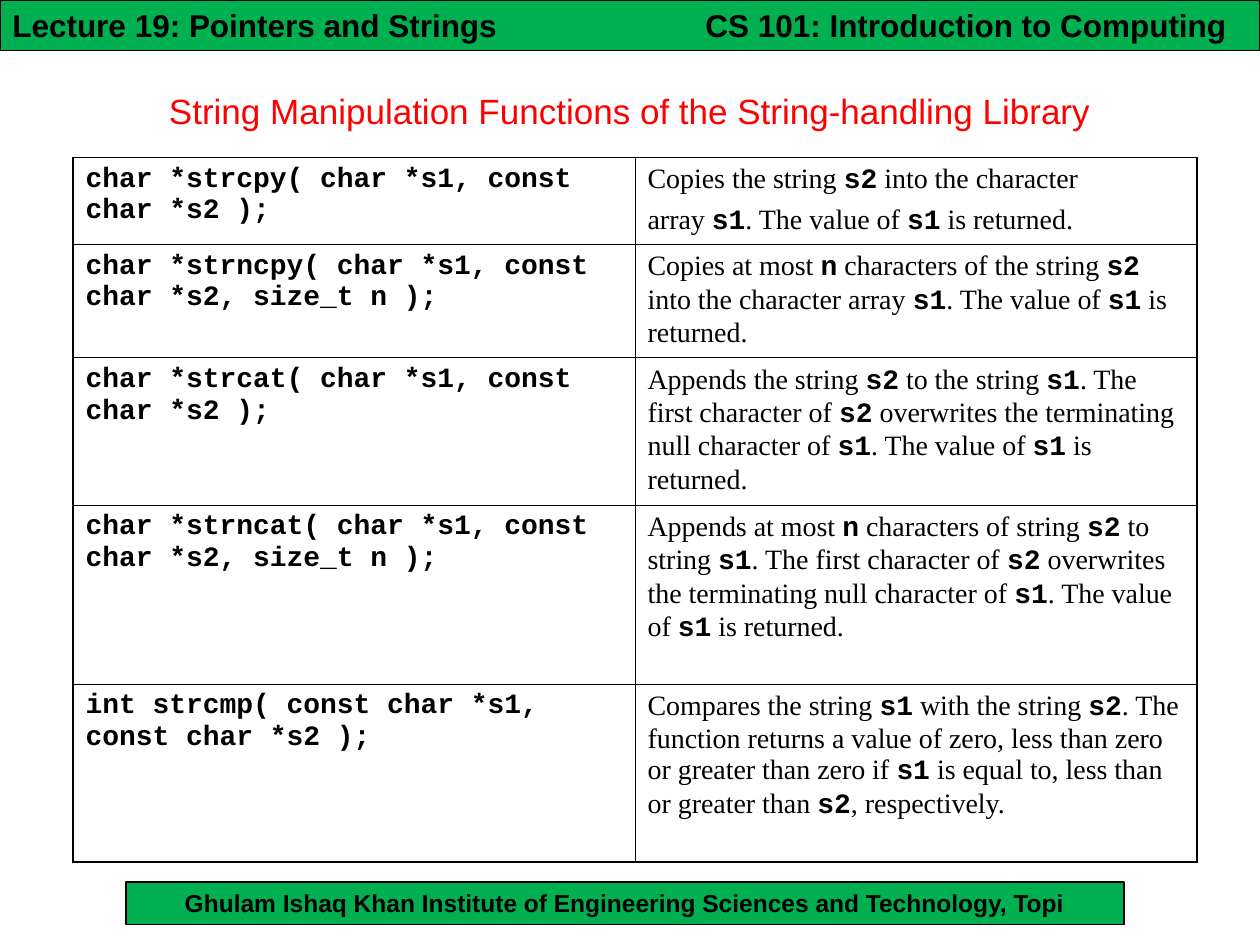
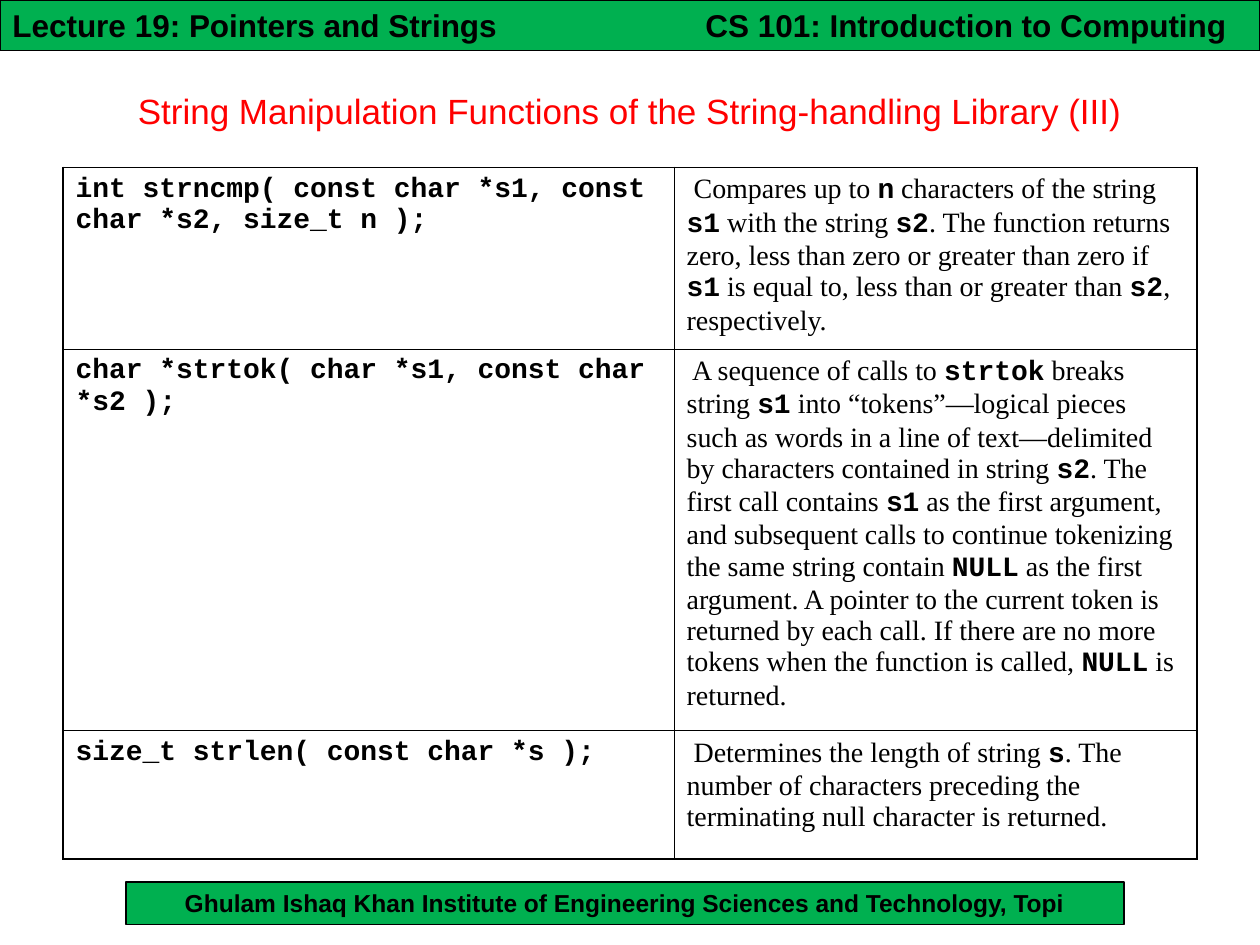
"""Build two lecture slides that tabulate the string-handling functions."""
from lxml import etree
from pptx import Presentation
from pptx import util as u
from pptx.dml.color import RGBColor
from pptx.enum import shapes, text
from pptx.oxml import ns

GREEN = RGBColor(0x00, 0xB0, 0x50)
RED = RGBColor(0xFF, 0x00, 0x00)
BLACK = RGBColor(0x00, 0x00, 0x00)
SANS, SERIF, MONO = "Arial", "Times New Roman", "Courier New"
OUTER, INNER = 1.08, 0.45
TITLE_ONLY = 5

BASIC_ROWS = [
    (69, "`char *strcpy( char *s1, const char *s2 );`",
     "Copies the string `s2` into the character\n"
     "array `s1`. The value of `s1` is returned."),
    (90, "`char *strncpy( char *s1, const char *s2, size_t n );`",
     "Copies at most `n` characters of the string `s2` into the character "
     "array `s1`. The value of `s1` is returned."),
    (117, "`char *strcat( char *s1, const char *s2 );`",
     "Appends the string `s2` to the string `s1`. The first character of "
     "`s2` overwrites the terminating null character of `s1`. The value of "
     "`s1` is returned."),
    (142, "`char *strncat( char *s1, const char *s2, size_t n );`",
     "Appends at most `n` characters of string `s2` to string `s1`. The first "
     "character of `s2` overwrites the terminating null character of `s1`. "
     "The value of `s1` is returned."),
    (141, "`int strcmp( const char *s1, const char *s2 );`",
     "Compares the string `s1` with the string `s2`. The function returns a "
     "value of zero, less than zero or greater than zero if `s1` is equal to, "
     "less than or greater than `s2`, respectively."),
]

FURTHER_ROWS = [
    (144, "`int strncmp( const char *s1, const char *s2, size_t n );`",
     " Compares up to `n` characters of the string `s1` with the string `s2`. "
     "The function returns zero, less than zero or greater than zero if `s1` "
     "is equal to, less than or greater than `s2`, respectively."),
    (303, "`char *strtok( char *s1, const char *s2 );`",
     " A sequence of calls to `strtok` breaks string `s1` into "
     "“tokens”—logical pieces such as words in a line of text—delimited by "
     "characters contained in string `s2`. The first call contains `s1` as "
     "the first argument, and subsequent calls to continue tokenizing the "
     "same string contain `NULL` as the first argument. A pointer to the "
     "current token is returned by each call. If there are no more tokens "
     "when the function is called, `NULL` is returned."),
    (102, "`size_t strlen( const char *s );`",
     " Determines the length of string `s`. The number of characters "
     "preceding the terminating null character is returned."),
]


def px(n):
    return u.Emu(n * 9144)


class Deck:
    def __init__(self):
        self.prs = Presentation()
        self.prs.slide_width, self.prs.slide_height = px(1000), px(750)
        self.layout = self.prs.slide_layouts[TITLE_ONLY]
        self.s = None

    def slide(self, title):
        self.s = self.prs.slides.add_slide(self.layout)
        sp = self.s.shapes.title
        sp.left, sp.top, sp.width, sp.height = px(0), px(42), px(1000), px(92)
        tf = sp.text_frame
        tf.vertical_anchor = text.MSO_ANCHOR.MIDDLE
        p = tf.paragraphs[0]
        p.alignment = text.PP_ALIGN.CENTER
        self.run(p, title, 20, SANS, RED)

    def run(self, p, words, size, font, color=BLACK, bold=False):
        r = p.add_run()
        r.text = words
        r.font.size, r.font.name, r.font.bold = u.Pt(size), font, bold
        r.font.color.rgb = color

    def label(self, sp, words, size, align):
        tf = sp.text_frame
        tf.word_wrap = True
        tf.auto_size = text.MSO_AUTO_SIZE.SHAPE_TO_FIT_TEXT
        tf.vertical_anchor = text.MSO_ANCHOR.TOP
        p = tf.paragraphs[0]
        p.alignment = align
        self.run(p, words, size, SANS, bold=True)
        self.layout.shapes.element.append(sp.element)

    def band(self, box, words, size, align=text.PP_ALIGN.LEFT):
        sp = self.s.shapes.add_shape(shapes.MSO_SHAPE.RECTANGLE, *map(px, box))
        sp.shadow.inherit = False
        sp.fill.solid()
        sp.fill.fore_color.rgb = GREEN
        sp.line.color.rgb = BLACK
        sp.line.width = u.Pt(0.75)
        self.label(sp, words, size, align)

    def caption(self, box, words, size):
        sp = self.s.shapes.add_textbox(*map(px, box))
        self.label(sp, words, size, text.PP_ALIGN.LEFT)

    def borders(self, cell, widths):
        tc_pr = cell._tc.get_or_add_tcPr()
        for side, width in zip("LRTB", widths):
            ln = etree.SubElement(tc_pr, ns.qn("a:ln" + side), w=str(u.Pt(width)))
            fill = etree.SubElement(ln, ns.qn("a:solidFill"))
            etree.SubElement(fill, ns.qn("a:srgbClr"), val=str(BLACK))

    def cell(self, cell, words):
        cell.margin_left = cell.margin_right = px(10)
        cell.margin_top = cell.margin_bottom = px(5)
        tf = cell.text_frame
        for i, line in enumerate(words.split("\n")):
            p = tf.add_paragraph() if i else tf.paragraphs[0]
            p.space_before = u.Pt(4)
            for j, part in enumerate(line.split("`")):
                if part:
                    code = j % 2 == 1
                    self.run(p, part, 16, MONO if code else SERIF, bold=code)

    def table(self, left, top, cols, rows):
        height = sum(row[0] for row in rows)
        box = map(px, (left, top, sum(cols), height))
        tbl = self.s.shapes.add_table(len(rows), len(cols), *box).table
        tbl.first_row = tbl.horz_banding = False
        for c, width in enumerate(cols):
            tbl.columns[c].width = px(width)
        for i, (height, *cells) in enumerate(rows):
            tbl.rows[i].height = px(height)
            for c, words in enumerate(cells):
                cell = tbl.cell(i, c)
                edges = (c == 0, c == len(cols) - 1, i == 0, i == len(rows) - 1)
                self.borders(cell, [OUTER if edge else INNER for edge in edges])
                cell.fill.background()
                self.cell(cell, words)


def main():
    deck = Deck()
    title = "String Manipulation Functions of the String-handling Library"
    deck.slide(title)
    deck.band((100, 700, 792, 34),
              "Ghulam Ishaq Khan Institute of Engineering Sciences and Technology, Topi",
              14, text.PP_ALIGN.CENTER)
    deck.band((0, 0, 1000, 40), "Lecture 19: Pointers and Strings", 18)
    deck.caption((550, 0, 450, 40), "CS 101: Introduction to Computing", 18)
    deck.table(58, 125, (446, 446), BASIC_ROWS)

    deck.slide(title + " (III)")
    deck.table(50, 133, (485, 415), FURTHER_ROWS)
    deck.prs.save("out.pptx")


if __name__ == "__main__":
    main()
